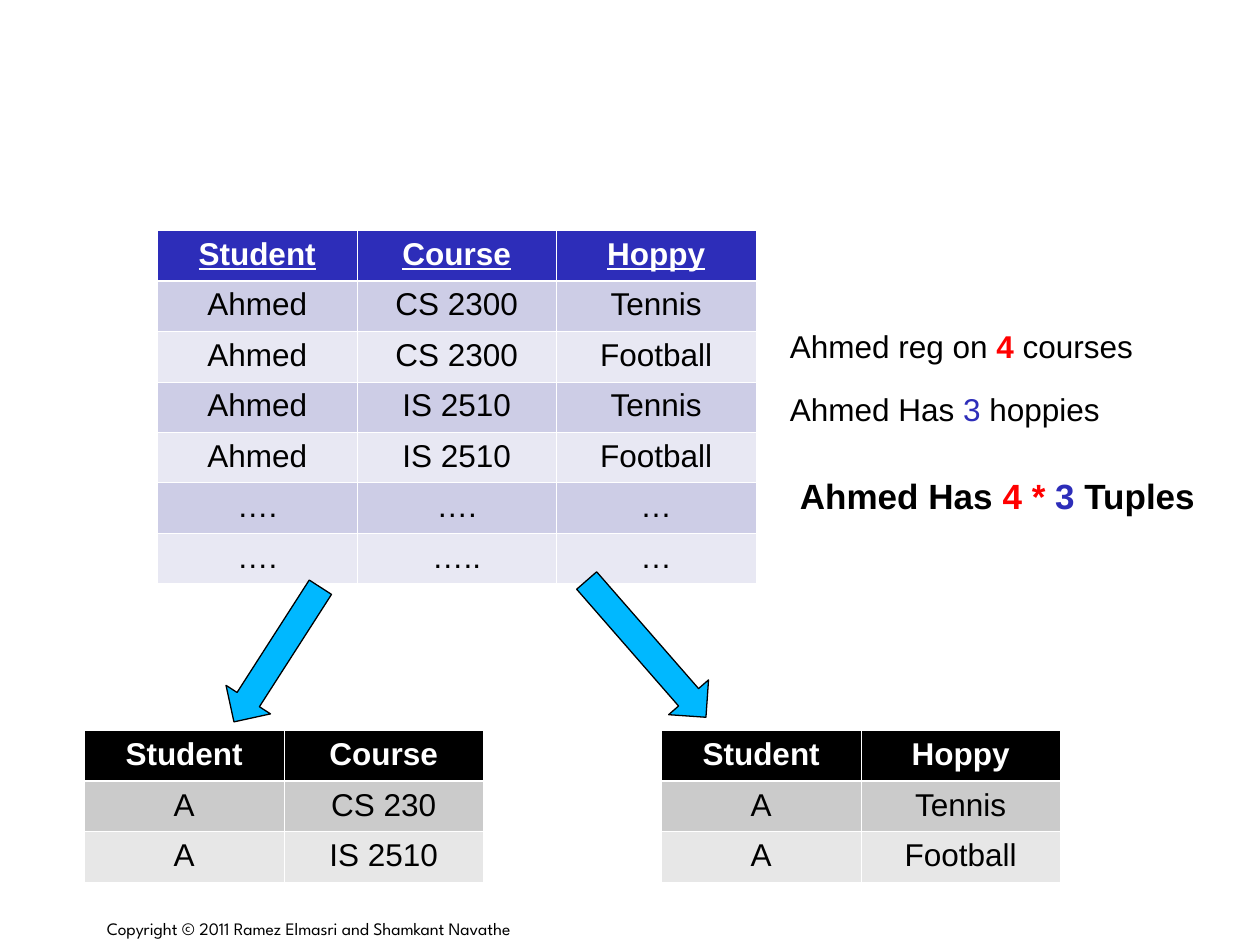
from dataclasses import dataclass

from lxml import etree
from pptx import Presentation
from pptx.dml.color import RGBColor
from pptx.enum.shapes import MSO_SHAPE
from pptx.enum.text import MSO_ANCHOR, PP_ALIGN
from pptx.oxml.ns import qn
from pptx.util import Inches, Pt

DOWN_ARROW = MSO_SHAPE.DOWN_ARROW
CENTER = PP_ALIGN.CENTER
TOP, BOTTOM = MSO_ANCHOR.TOP, MSO_ANCHOR.BOTTOM


@dataclass(frozen=True)
class Theme:
    black: str = "000000"
    white: str = "FFFFFF"
    red: str = "FF0000"
    blue: str = "2D2DB9"
    arrow: str = "00B8FF"
    blue_bands: tuple = ("CDCDE6", "E8E8F3")
    grey_bands: tuple = ("CBCBCB", "E7E7E7")
    font: str = "Arial"
    footer_font: str = "League Spartan"
    body: int = 18
    conclusion: int = 20
    footer: int = 10
    thin: float = 0.45
    thick: float = 1.47


class SlideBuilder:
    """Draws themed tables, arrows and text on one slide."""

    def __init__(self, slide, theme):
        self.slide = slide
        self.theme = theme

    def run(self, paragraph, words, color, size, bold=False, underline=False, font=None):
        run = paragraph.add_run()
        run.text = words
        run.font.name = font or self.theme.font
        run.font.size = Pt(size)
        run.font.bold = bold
        run.font.underline = underline
        run.font.color.rgb = RGBColor.from_string(color)

    def text(self, left, top, width, height, pieces, size, font=None, anchor=TOP):
        frame = self.slide.shapes.add_textbox(
            Inches(left), Inches(top), Inches(width), Inches(height)).text_frame
        frame.word_wrap = True
        frame.vertical_anchor = anchor
        for words, color, bold in pieces:
            self.run(frame.paragraphs[0], words, color, size, bold, font=font)

    def border(self, cell, side, width):
        line = etree.SubElement(cell._tc.get_or_add_tcPr(), qn(f"a:ln{side}"), w=str(Pt(width)))
        fill = etree.SubElement(line, qn("a:solidFill"))
        etree.SubElement(fill, qn("a:srgbClr"), val=self.theme.white)

    def table(self, left, top, rows, header_fill, bands, keys_underlined=False):
        theme = self.theme
        column_width, row_height = Inches(4.75 / 3), Inches(0.4)
        columns = len(rows[0])
        table = self.slide.shapes.add_table(
            len(rows), columns, Inches(left), Inches(top),
            column_width * columns, row_height * len(rows)).table
        for row_index, row in enumerate(rows):
            table.rows[row_index].height = row_height
            header = row_index == 0
            fill = header_fill if header else bands[(row_index - 1) % 2]
            for column_index, words in enumerate(row):
                cell = table.cell(row_index, column_index)
                widths = {"L": theme.thin, "R": theme.thin,
                          "T": theme.thick if row_index == 1 else theme.thin,
                          "B": theme.thick if header else theme.thin}
                for side, width in widths.items():
                    self.border(cell, side, width)
                cell.fill.solid()
                cell.fill.fore_color.rgb = RGBColor.from_string(fill)
                paragraph = cell.text_frame.paragraphs[0]
                paragraph.alignment = CENTER
                self.run(paragraph, words, theme.white if header else theme.black,
                         theme.body, header, header and keys_underlined)

    def arrow(self, left, top, width, height, rotation):
        arrow = self.slide.shapes.add_shape(
            DOWN_ARROW, Inches(left), Inches(top), Inches(width), Inches(height))
        arrow.rotation = rotation
        arrow.shadow.inherit = False
        arrow.fill.solid()
        arrow.fill.fore_color.rgb = RGBColor.from_string(self.theme.arrow)
        arrow.line.color.rgb = RGBColor.from_string(self.theme.black)
        arrow.line.width = Pt(0.75)


def main():
    deck = Presentation()
    deck.slide_width, deck.slide_height = Inches(10), Inches(7.5)
    theme = Theme()
    page = SlideBuilder(deck.slides.add_slide(deck.slide_layouts[6]), theme)
    black, red, blue = theme.black, theme.red, theme.blue

    page.text(0.75, 7.17, 7.16, 0.33,
              [("Copyright © 2011 Ramez Elmasri and Shamkant Navathe", black, False)],
              theme.footer, theme.footer_font, BOTTOM)

    enrolments = [
        ("Student", "Course", "Hoppy"),
        ("Ahmed", "CS 2300", "Tennis"),
        ("Ahmed", "CS 2300", "Football"),
        ("Ahmed", "IS 2510", "Tennis"),
        ("Ahmed", "IS 2510", "Football"),
        ("….", "….", "…"),
        ("….", "…..", "…"),
    ]
    student_courses = [("Student", "Course"), ("A", "CS 230"), ("A", "IS 2510")]
    student_hobbies = [("Student", "Hoppy"), ("A", "Tennis"), ("A", "Football")]
    page.table(1.25, 1.83, enrolments, blue, theme.blue_bands, keys_underlined=True)
    for left, rows in ((0.67, student_courses), (5.25, student_hobbies)):
        page.table(left, 5.8, rows, black, theme.grey_bands)

    page.arrow(1.99, 4.56, 0.42, 1.27, 32.7)
    page.arrow(4.92, 4.43, 0.42, 1.44, 318.9)

    page.text(6.17, 2.55, 3.25, 0.4,
              [("Ahmed reg on ", black, False), ("4", red, True), (" courses", black, False)],
              theme.body)
    page.text(6.17, 3.05, 3.25, 0.4,
              [("Ahmed Has ", black, False), ("3", blue, False), (" hoppies", black, False)],
              theme.body)
    page.text(6.25, 3.72, 3.42, 0.44,
              [("Ahmed Has ", black, True), ("4 * ", red, True), ("3", blue, True),
               (" Tuples", black, True)],
              theme.conclusion)

    deck.save("out.pptx")


if __name__ == "__main__":
    main()
